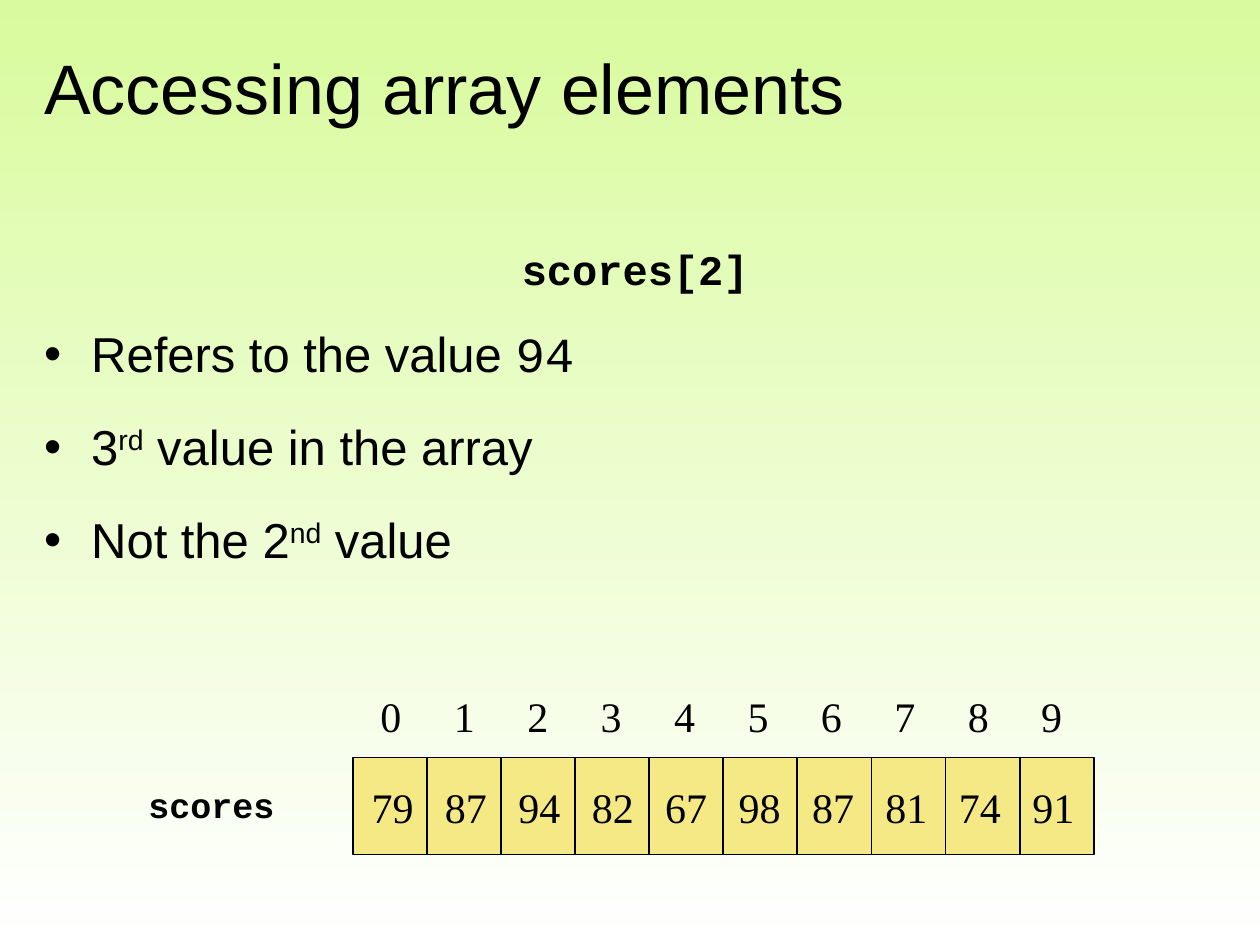
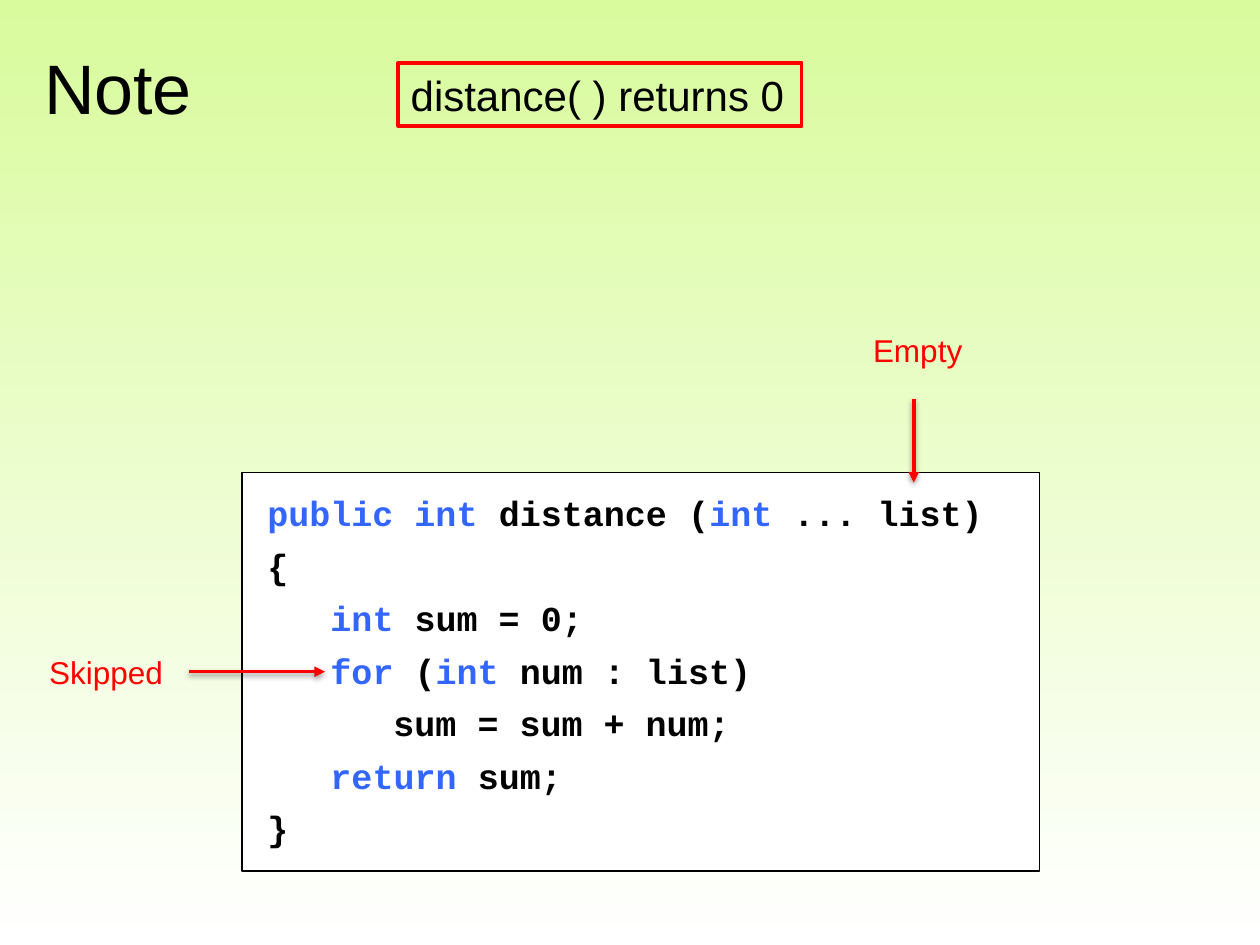
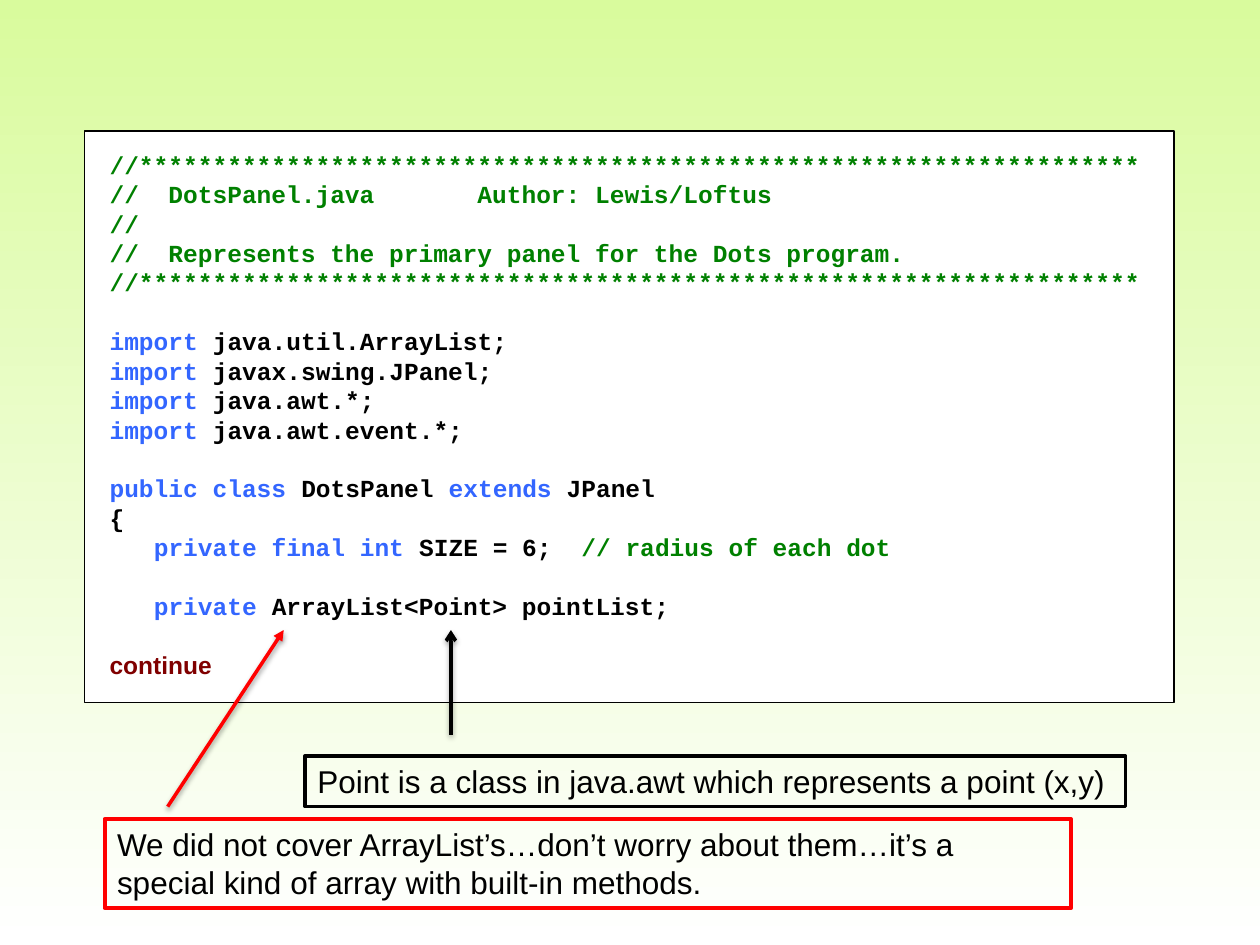
from lxml import etree
from pptx import Presentation
from pptx import util as u
from pptx.dml.color import RGBColor
from pptx.enum import shapes, text
from pptx.oxml.ns import qn

BLACK, WHITE, RED = "000000", "FFFFFF", "FF0000"
BLUE, GREEN, MAROON = "3366FF", "008000", "800000"
LIME, SAND = "D9FB9D", "F5E985"
SANS, MONO, SERIF = "Arial", "Courier New", "Times New Roman"
STEP = 1.48
LEFT, CENTER = text.PP_ALIGN.LEFT, text.PP_ALIGN.CENTER

VALUES = [79, 87, 94, 82, 67, 98, 87, 81, 74, 91]
SUM = """~public int ~distance (~int ~... list)
{
   ~int ~sum = 0;
   ~for ~(~int ~num : list)
      sum = sum + num;
   ~return ~sum;
}""".split("\n")
STARS = "//" + "*" * 68
DOTS = f"""{STARS}
//  DotsPanel.java       Author: Lewis/Loftus
//
//  Represents the primary panel for the Dots program.
{STARS}

~import ~java.util.ArrayList;
~import ~javax.swing.JPanel;
~import ~java.awt.*;
~import ~java.awt.event.*;

~public class ~DotsPanel ~extends ~JPanel
{{
   ~private final int ~SIZE = 6;  // radius of each dot

   ~private ~ArrayList<Point> pointList;""".split("\n")


def tint(code):
    return RGBColor.from_string(code)


def put(par, words, size=18, color=BLACK, face=SANS, bold=False, base=0):
    run = par.add_run()
    run.text = words
    run.font.size = u.Pt(size)
    run.font.name = face
    run.font.bold = bold
    run.font.color.rgb = tint(color)
    if base:
        run._r.get_or_add_rPr().set("baseline", str(base * 1000))


def para(frame, align=LEFT, before=0, after=0, lines=None):
    first = frame.paragraphs[0]
    par = frame.add_paragraph() if first.runs else first
    par.alignment = align
    par.space_before = u.Pt(before)
    par.space_after = u.Pt(after)
    if lines:
        par.line_spacing = lines
    return par


def setup(shape, pad=(0.25, 0.13), anchor=text.MSO_ANCHOR.TOP):
    frame = shape.text_frame
    frame.word_wrap = True
    frame.vertical_anchor = anchor
    frame.margin_left = frame.margin_right = u.Cm(pad[0])
    frame.margin_top = frame.margin_bottom = u.Cm(pad[1])
    return frame


def area(slide, place, **opts):
    return setup(slide.shapes.add_textbox(*map(u.Cm, place)), **opts)


def rect(slide, place, fill=None, line=BLACK, width=1, **opts):
    shape = slide.shapes.add_shape(shapes.MSO_SHAPE.RECTANGLE, *map(u.Cm, place))
    shape.shadow.inherit = False
    if fill:
        shape.fill.solid()
        shape.fill.fore_color.rgb = tint(fill)
    else:
        shape.fill.background()
    shape.line.color.rgb = tint(line)
    shape.line.width = u.Pt(width)
    return setup(shape, **opts)


def label(slide, place, words, **fmt):
    put(para(area(slide, place)), words, **fmt)


def title(slide, words):
    frame = area(slide, (0.64, 0.76, 24.13, 1.98), anchor=text.MSO_ANCHOR.MIDDLE)
    put(para(frame), words, size=40)


def callout(slide, place, words, line=RED, size=18):
    put(para(rect(slide, place, line=line, width=2.25)), words, size=size)


def rule(slide, start, end, color=BLACK, width=1):
    line = slide.shapes.add_connector(
        shapes.MSO_CONNECTOR.STRAIGHT, *map(u.Cm, start + end))
    line.line.color.rgb = tint(color)
    line.line.width = u.Pt(width)
    return line, etree.SubElement(line._element.spPr, qn("a:effectLst"))


def arrow(slide, start, end, color=RED, head="triangle"):
    line, effects = rule(slide, start, end, color, 2)
    etree.SubElement(line.line._get_or_add_ln(), qn("a:tailEnd"), type=head)
    shade = etree.SubElement(effects, qn("a:outerShdw"), blurRad="40000",
                             dist="20000", dir="5400000", rotWithShape="0")
    hue = etree.SubElement(shade, qn("a:srgbClr"), val=BLACK)
    etree.SubElement(hue, qn("a:alpha"), val="38000")


def code(slide, place, lines, size, after=0):
    frame = rect(slide, place, WHITE, width=0.75, pad=(0.51, 0.38))
    gap = 0
    for row in lines:
        if not row:
            gap = size * 1.2
            continue
        par = para(frame, before=gap, after=after)
        gap = 0
        body, mark, note = row.partition("//")
        for i, part in enumerate(body.split("~")):
            if part:
                put(par, part, size, BLUE if i % 2 else BLACK, MONO, True)
        if mark:
            put(par, mark + note, size, GREEN, MONO, True)
    return frame


def bullet(frame, parts, before):
    par = para(frame, before=before, lines=0.9)
    props = par._p.get_or_add_pPr()
    props.set("marL", str(u.Cm(0.95)))
    props.set("indent", str(-u.Cm(0.95)))
    etree.SubElement(props, qn("a:buFont"), typeface=SANS)
    etree.SubElement(props, qn("a:buChar"), char="•")
    for words, fmt in parts:
        put(par, words, size=28, **fmt)


def series(slide, place, items):
    par = para(area(slide, place))
    tabs = etree.SubElement(par._p.get_or_add_pPr(), qn("a:tabLst"))
    for i in range(1, len(items)):
        etree.SubElement(tabs, qn("a:tab"), pos=str(u.Cm(i * STEP)), algn="l")
    put(par, "\t".join(map(str, items)), size=24, face=SERIF)


def array(slide):
    left, top, wide, high = 7.11, 15.27, 14.94, 1.96
    cell = wide / len(VALUES)
    series(slide, (7.42, 13.79, 14.4, 1.3), range(len(VALUES)))
    rect(slide, (left, top, wide, high), SAND)
    for i in range(1, 9, 2):
        rect(slide, (left + i * cell, top, cell, high), SAND)
    edge = left + 9 * cell
    rule(slide, (edge, top), (edge, top + high))
    series(slide, (7.24, 15.62, 14.83, 1.3), VALUES)
    label(slide, (2.74, 15.67, 3.07, 1.12), "scores", size=20, face=MONO, bold=True)


def access(slide):
    title(slide, "Accessing array elements")
    frame = area(slide, (0.64, 3.18, 24.33, 10.16))
    frame.margin_top = u.Cm(1.85)
    put(para(frame, CENTER, lines=0.9), "scores[2]", size=24, face=MONO, bold=True)
    sup = {"base": 30}
    bullet(frame, [("Refers to the value ", {}), ("94", {"face": MONO})], 20)
    bullet(frame, [("3", {}), ("rd", sup), (" value in the array", {})], 23)
    bullet(frame, [("Not the 2", {}), ("nd", sup), (" value", {})], 23)
    array(slide)


def note(slide):
    title(slide, "Note")
    code(slide, (4.88, 9.53, 16.08, 8.03), SUM, 20, after=6)
    callout(slide, (8.03, 1.27, 8.13, 1.27), "distance( ) returns 0", size=24)
    label(slide, (17.35, 6.55, 2.34, 1.02), "Empty", color=RED)
    arrow(slide, (18.42, 8.05), (18.42, 9.73))
    label(slide, (0.74, 13.03, 2.82, 1.02), "Skipped", color=RED)
    arrow(slide, (3.81, 13.54), (6.55, 13.54))


def panel(slide):
    frame = code(slide, (1.7, 2.64, 21.97, 11.53), DOTS, 14)
    put(para(frame, before=16.8), "continue", size=14, color=MAROON, bold=True)
    callout(slide, (6.15, 15.24, 16.54, 1.02),
            "Point is a class in java.awt which represents a point (x,y)", BLACK)
    arrow(slide, (9.09, 14.81), (9.09, 12.7), BLACK, "arrow")
    callout(slide, (2.11, 16.51, 19.48, 1.8),
            "We did not cover ArrayList’s…don’t worry about them…it’s a "
            "special kind of array with built-in methods.")
    arrow(slide, (3.38, 16.26), (5.72, 12.7))


def backdrop(deck):
    fill = deck.slide_master.background.fill
    fill.gradient()
    fill.gradient_angle = 270
    for stop, color, spot in zip(fill.gradient_stops, (LIME, WHITE), (0, 1)):
        stop.color.rgb = tint(color)
        stop.position = spot


def main():
    deck = Presentation()
    deck.slide_width, deck.slide_height = u.Cm(25.4), u.Cm(19.05)
    backdrop(deck)
    for build in (access, note, panel):
        build(deck.slides.add_slide(deck.slide_layouts[6]))
    deck.save("out.pptx")


if __name__ == "__main__":
    main()
